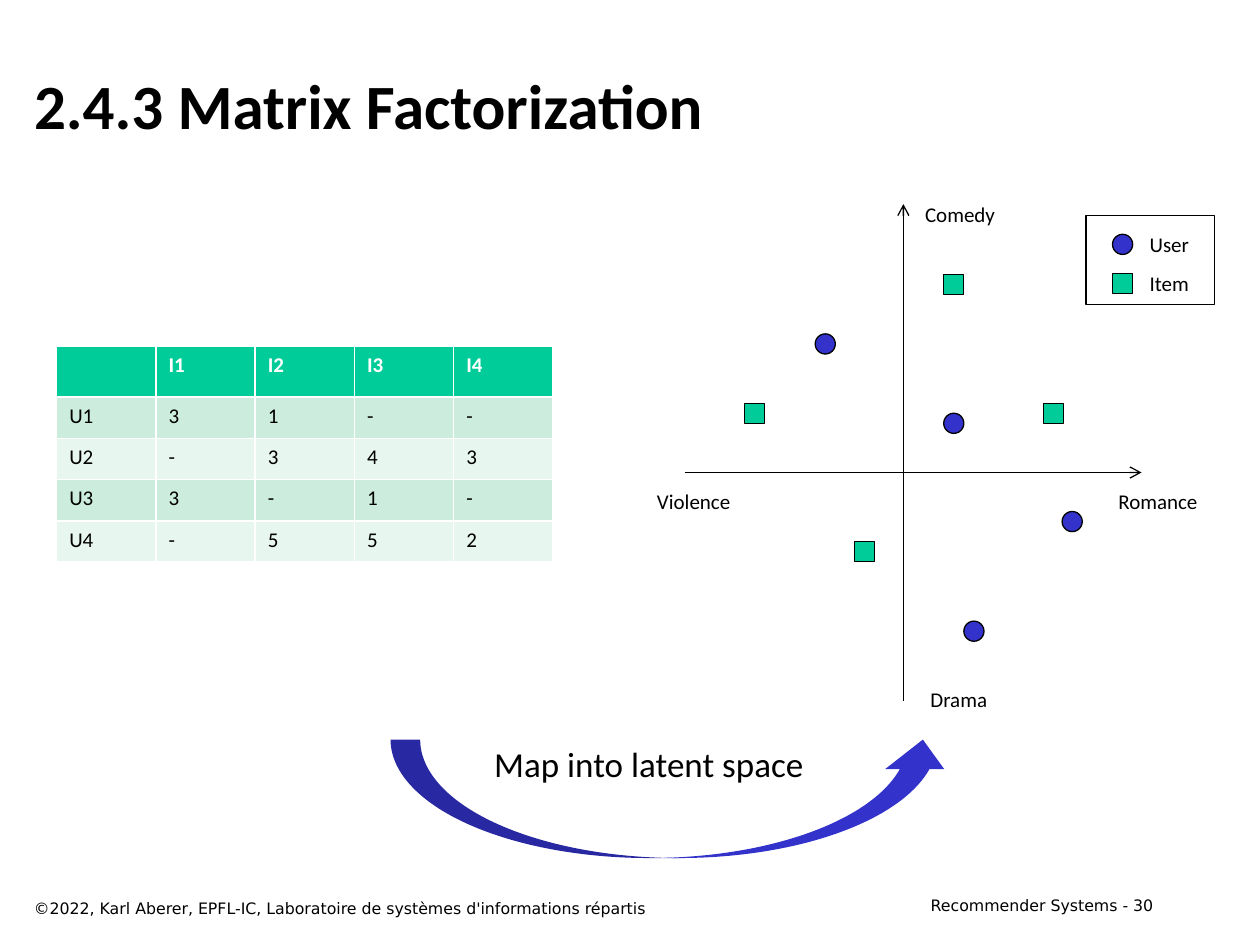
from lxml import etree
from pptx import Presentation
from pptx.dml.color import RGBColor
from pptx.enum import shapes, text
from pptx.oxml import ns
from pptx.util import Inches, Pt

BLACK, WHITE = "000000", "FFFFFF"
USER_BLUE, ITEM_GREEN = "3333CC", "00CC99"
BANDS = ["CCECDE", "E7F6EF"]
MARK = 0.16
LEFT, CENTER, RIGHT = text.PP_ALIGN.LEFT, text.PP_ALIGN.CENTER, text.PP_ALIGN.RIGHT
OVAL, SQUARE = shapes.MSO_SHAPE.OVAL, shapes.MSO_SHAPE.RECTANGLE

RATINGS = [
    ["", "I1", "I2", "I3", "I4"],
    ["U1", "3", "1", "-", "-"],
    ["U2", "-", "3", "4", "3"],
    ["U3", "3", "-", "1", "-"],
    ["U4", "-", "5", "5", "2"],
]
ITEMS = [(3.17, 1.65), (2.38, 0.63), (1.67, 2.75), (0.8, 1.65)]
USERS = [(1.36, 1.1), (2.54, 3.38), (2.38, 1.73), (3.32, 2.51)]
AXIS_LABELS = [
    ("Romance", (3.66, 2.28, 0.84, 0.3)),
    ("Violence", (0, 2.28, 0.79, 0.3)),
    ("Drama", (2.17, 3.85, 0.66, 0.3)),
    ("Comedy", (2.13, 0, 0.76, 0.3)),
]


def rgb(color):
    return RGBColor.from_string(color)


def inches(*lengths):
    return [Inches(length) for length in lengths]


def write(frame, words, size=12, font="Calibri", color=BLACK, bold=False, align=LEFT):
    paragraph = frame.paragraphs[0]
    paragraph.alignment = align
    run = paragraph.add_run()
    run.text = words
    run.font.size = Pt(size)
    run.font.name = font
    run.font.bold = bold
    run.font.color.rgb = rgb(color)


def add_label(slide, box, words, wrap=False, **style):
    frame = slide.shapes.add_textbox(*inches(*box)).text_frame
    frame.word_wrap = wrap
    if not wrap:
        frame.auto_size = text.MSO_AUTO_SIZE.SHAPE_TO_FIT_TEXT
    write(frame, words, **style)


def add_figure(slide, kind, box, fill=None, line=None):
    figure = slide.shapes.add_shape(kind, *inches(*box))
    figure.shadow.inherit = False
    if fill:
        figure.fill.solid()
        figure.fill.fore_color.rgb = rgb(fill)
    else:
        figure.fill.background()
    if line:
        figure.line.color.rgb = rgb(line)
        figure.line.width = Pt(0.75)
    else:
        figure.line.fill.background()


def add_marker(slide, kind, x, y):
    fill = USER_BLUE if kind == OVAL else ITEM_GREEN
    add_figure(slide, kind, (x, y, MARK, MARK), fill, BLACK)


def add_axis(slide, start, end):
    axis = slide.shapes.add_connector(shapes.MSO_CONNECTOR.STRAIGHT, *inches(*start, *end))
    axis.line.color.rgb = rgb(BLACK)
    axis.line.width = Pt(0.75)
    etree.SubElement(axis.line._get_or_add_ln(), ns.qn("a:tailEnd"), type="arrow")
    etree.SubElement(axis._element.spPr, ns.qn("a:effectLst"))


def place_title(slide, box):
    title = slide.shapes.title
    title.left, title.top, title.width, title.height = inches(*box)
    title.text_frame.vertical_anchor = text.MSO_ANCHOR.MIDDLE
    title.text_frame.auto_size = text.MSO_AUTO_SIZE.NONE
    write(title.text_frame, "2.4.3 Matrix Factorization", size=36, bold=True)


def place_footer(slide, left, top, width):
    style = dict(wrap=True, size=9, font="DejaVu Sans")
    add_label(slide, (left + 7, top, 2.08, 0.25), "Recommender Systems - 30",
              align=RIGHT, **style)
    add_label(slide, (left, top + 0.02, width, 0.25),
              "©2022, Karl Aberer, EPFL-IC, Laboratoire de systèmes d'informations répartis",
              **style)


def place_ratings(slide, box):
    table = slide.shapes.add_table(len(RATINGS), len(RATINGS[0]), *inches(*box)).table
    for row, ratings in enumerate(RATINGS):
        header = row == 0
        for column, rating in enumerate(ratings):
            cell = table.cell(row, column)
            cell.fill.solid()
            cell.fill.fore_color.rgb = rgb(ITEM_GREEN if header else BANDS[(row - 1) % 2])
            write(cell.text_frame, rating, color=WHITE if header else BLACK, bold=header)


def place_latent_space(slide, left, top):
    add_axis(slide, (left + 2.06, top + 4.01), (left + 2.06, top + 0.07))
    add_axis(slide, (left + 0.33, top + 2.2), (left + 3.95, top + 2.2))
    for kind, points in ((SQUARE, ITEMS), (OVAL, USERS)):
        for x, y in points:
            add_marker(slide, kind, left + x, top + y)
    for words, (x, y, width, height) in AXIS_LABELS:
        add_label(slide, (left + x, top + y, width, height), words, align=CENTER)


def place_legend(slide, left, top, width, height):
    for index, (kind, words) in enumerate(((OVAL, "User"), (SQUARE, "Item"))):
        y = top + 0.08 + 0.31 * index
        add_marker(slide, kind, left + 0.21, y + 0.07)
        add_label(slide, (left + 0.4, y, 0.52, 0.3), words, align=CENTER)
    add_figure(slide, SQUARE, (left, top, width, height), line=BLACK)


def place_mapping(slide, left, top, width, height):
    add_figure(slide, shapes.MSO_SHAPE.CURVED_UP_ARROW, (left, top, width, height), USER_BLUE)
    add_label(slide, (left + 0.71, top - 0.03, 2.68, 0.44), "Map into latent space",
              size=20, align=CENTER)


def main():
    deck = Presentation()
    deck.slide_width, deck.slide_height = inches(10, 7.5)
    slide = deck.slides.add_slide(deck.slide_layouts[5])
    place_footer(slide, 0.17, 7.06, 6.42)
    place_title(slide, (0.17, 0.33, 9.08, 1))
    place_ratings(slide, (0.45, 2.75, 3.94, 1.64))
    place_latent_space(slide, 5.11, 1.55)
    place_legend(slide, 8.62, 1.71, 1.02, 0.71)
    place_mapping(slide, 3.1, 5.87, 4.46, 0.94)
    deck.save("out.pptx")


if __name__ == "__main__":
    main()
